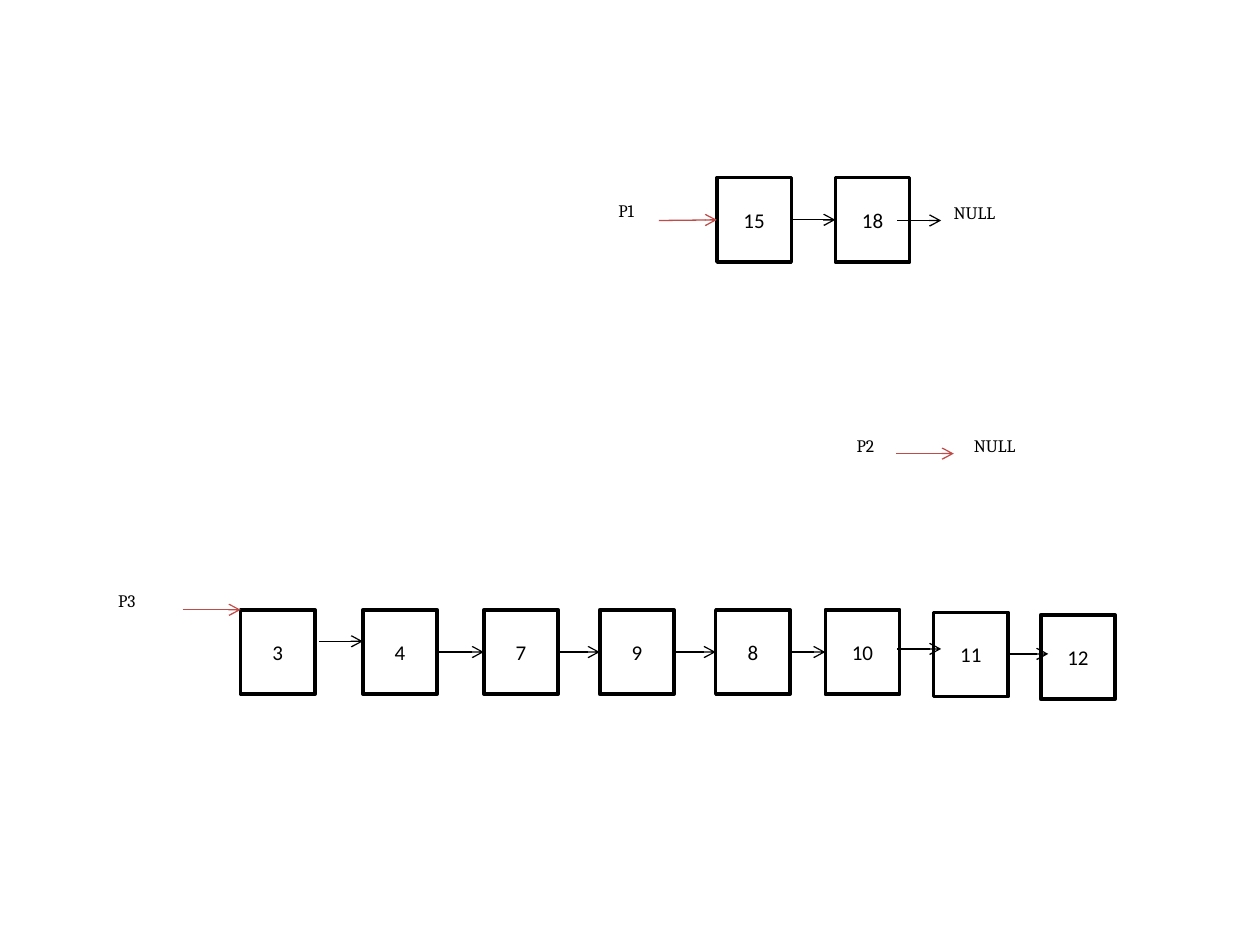
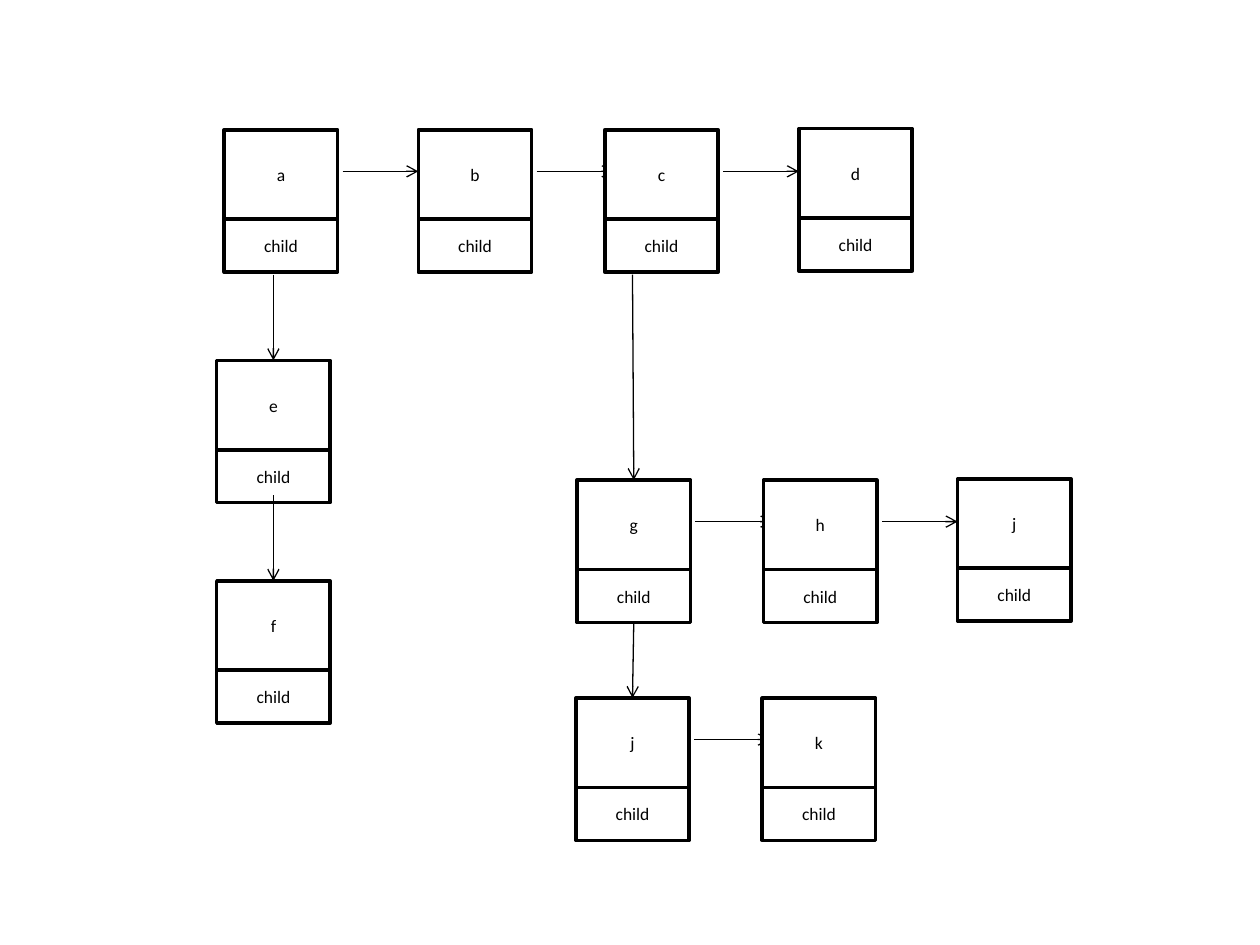
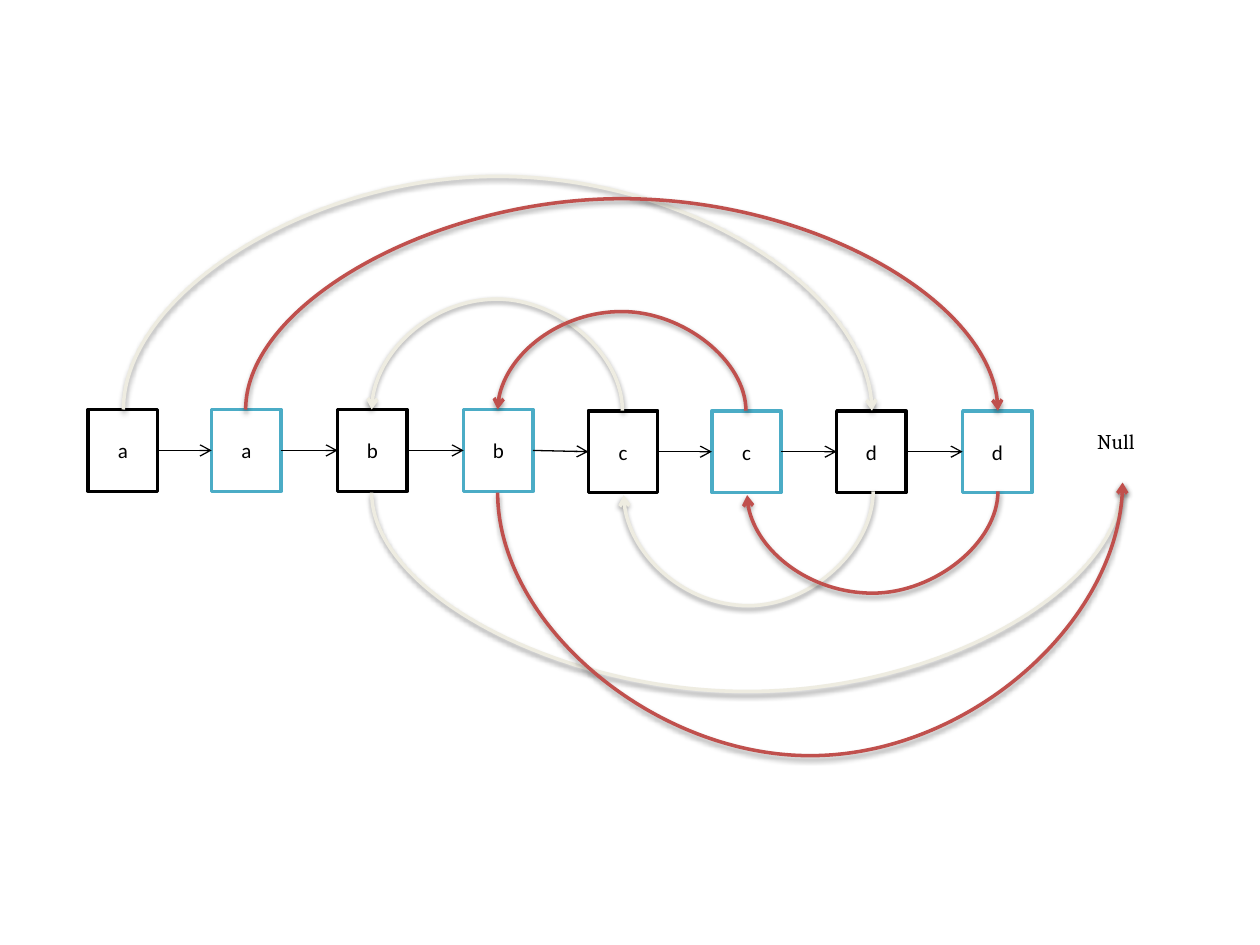
import pptx
import pptx.util
import pptx.dml.color
import pptx.enum.shapes
import pptx.enum.text
import pptx.oxml.ns
from lxml import etree

Inches = pptx.util.Inches
RGB = pptx.dml.color.RGBColor.from_string
KIND = pptx.enum.shapes.MSO_CONNECTOR
TONES = {"ink": "000000", "paper": "FFFFFF", "head": "BF4C48",
         "teal": "4BACC6", "cream": "EEECE1", "red": "C0504D"}


def box(slide, at, text, size, edge=None):
    spot = [Inches(n) for n in at]
    if edge:
        shape = slide.shapes.add_shape(pptx.enum.shapes.MSO_SHAPE.RECTANGLE, *spot)
        shape.shadow.inherit = False
        shape.fill.solid()
        shape.fill.fore_color.rgb = RGB(TONES["paper"])
        shape.line.color.rgb = RGB(TONES[edge])
        shape.line.width = pptx.util.Pt(2)
    else:
        shape = slide.shapes.add_textbox(*spot)
    frame = shape.text_frame
    frame.word_wrap = True
    para = frame.paragraphs[0]
    if edge:
        frame.vertical_anchor = pptx.enum.text.MSO_ANCHOR.MIDDLE
        para.alignment = pptx.enum.text.PP_ALIGN.CENTER
    run = para.add_run()
    run.text = text
    run.font.size = pptx.util.Pt(size)
    run.font.name = "Calibri" if edge else "Cambria"
    run.font.color.rgb = RGB(TONES["ink"])
    return shape


def arrow(slide, ends, tone="ink", width=0.75, kind=KIND.STRAIGHT):
    line = slide.shapes.add_connector(kind, *[Inches(n) for n in ends])
    line.line.color.rgb = RGB(TONES[tone])
    line.line.width = pptx.util.Pt(width)
    props = line._element.spPr
    tail = etree.SubElement(props.find(pptx.oxml.ns.qn("a:ln")), pptx.oxml.ns.qn("a:tailEnd"))
    tail.set("type", "arrow")
    etree.SubElement(props, pptx.oxml.ns.qn("a:effectLst"))
    return line


deck = pptx.Presentation()
deck.slide_width, deck.slide_height = Inches(10), Inches(7.5)
lists, tree, chain = [deck.slides.add_slide(deck.slide_layouts[6]) for _ in range(3)]

nodes = {}
for text, x, y in [("15", 5.69, 1.41), ("18", 6.63, 1.41), ("3", 1.91, 4.84),
                   ("4", 2.88, 4.84), ("7", 3.84, 4.84), ("9", 4.76, 4.84),
                   ("8", 5.68, 4.84), ("10", 6.55, 4.84), ("12", 8.26, 4.88)]:
    nodes[text] = box(lists, (x, y, 0.59, 0.67), text, 12, "ink")
for start, stop in [("15", "18"), ("4", "7"), ("7", "9"), ("9", "8"), ("8", "10")]:
    link = arrow(lists, (0, 0, 1, 0))
    link.begin_connect(nodes[start], 3)
    link.end_connect(nodes[stop], 1)
arrow(lists, (7.86, 5.19, 8.32, 5.19))
box(lists, (7.41, 4.86, 0.59, 0.67), "11", 12, "ink")
for x, y in [(7.12, 1.75), (7.12, 5.15), (2.53, 5.09)]:
    arrow(lists, (x, y, x + 0.35, y))
for x, y in [(7.11, 3.6), (1.45, 4.84)]:
    arrow(lists, (x, y, x + 0.46, y), "head")
arrow(lists, (5.23, 1.75, 5.69, 1.75), "head").end_connect(nodes["15"], 1)
for text, x, y, wide in [("P1", 4.81, 1.54, 0.47), ("P2", 6.7, 3.4, 0.47),
                         ("P3", 0.84, 4.63, 0.47), ("NULL", 7.47, 1.55, 0.71),
                         ("NULL", 7.63, 3.4, 0.71)]:
    box(lists, (x, y, wide, 0.45), text, 10)

tops, kids = [], []
for text, x, y, reach in [("a", 1.78, 1.03, 0.6), ("b", 3.32, 1.03, 0.61),
                          ("c", 4.8, 1.03, 0.6), ("d", 6.34, 1.02, 0),
                          ("e", 1.72, 2.86, 0), ("f", 1.72, 4.61, 0),
                          ("g", 4.58, 3.81, 0.61), ("h", 6.06, 3.81, 0.6),
                          ("j", 7.6, 3.8, 0), ("j", 4.57, 5.54, 0.6),
                          ("k", 6.05, 5.54, 0)]:
    tops.append(box(tree, (x, y, 0.9, 0.71), text, 10, "ink"))
    if reach:
        arrow(tree, (x + 0.94, y + 0.33, x + 0.94 + reach, y + 0.33))
    kids.append(box(tree, (x, y + 0.71, 0.9, 0.42), "child", 10, "ink"))
for x, y, child in [(2.17, 2.18, 4), (2.17, 3.93, 5), (5.02, 2.18, 6), (5.03, 4.94, 9)]:
    link = arrow(tree, (x, y, x, y + 0.6))
    if child == 9:
        link.begin_connect(kids[6], 2)
    link.end_connect(tops[child], 0)

last = None
for spot, x in enumerate([0.7, 1.68, 2.68, 3.68, 4.67, 5.65, 6.64, 7.64]):
    y = 3.25 if spot < 4 else 3.26
    node = box(chain, (x, y, 0.55, 0.65), "aabbccdd"[spot], 12, "teal" if spot % 2 else "ink")
    if last:
        link = arrow(chain, (0, 0, 1, 0))
        link.begin_connect(last, 3)
        link.end_connect(node, 1)
    last = node
box(chain, (8.61, 3.35, 0.7, 0.56), "Null", 12)

for x1, y1, x2, y2, peak, tone in [
        (0.98, 3.25, 6.92, 3.26, 1.37, "cream"), (2.95, 3.91, 8.91, 3.83, 5.49, "cream"),
        (4.94, 3.26, 2.95, 3.25, 2.36, "cream"), (6.93, 3.9, 4.95, 3.93, 4.81, "cream"),
        (1.95, 3.25, 7.92, 3.26, 1.55, "red"), (5.92, 3.26, 3.95, 3.25, 2.46, "red"),
        (7.92, 3.9, 5.93, 3.93, 4.71, "red"), (3.95, 3.91, 8.91, 3.83, 6, "red")]:
    above, right = peak < y1, x2 > x1
    midx, midy = (x1 + x2) / 2, (y1 + y2) / 2
    dx = abs(y2 - y1) / 2 * (-1 if right else 1)
    dy = abs(x2 - x1) / 2 * (-1 if above != right else 1)
    curve = arrow(chain, (midx - dx, midy - dy, midx + dx, midy + dy), tone, 2, KIND.CURVE)
    props = curve._element.spPr
    props.find(pptx.oxml.ns.qn("a:xfrm")).set("rot", str((270 if above else 90) * 60000))
    guide = etree.SubElement(props.find(".//" + pptx.oxml.ns.qn("a:avLst")), pptx.oxml.ns.qn("a:gd"))
    guide.set("name", "adj1")
    guide.set("fmla", f"val {round((peak - y1) / (y2 - y1) * 100000)}")
    shade = etree.SubElement(props.find(pptx.oxml.ns.qn("a:effectLst")), pptx.oxml.ns.qn("a:outerShdw"))
    for name, value in [("blurRad", pptx.util.Pt(3.1)), ("dist", pptx.util.Pt(1.6)),
                        ("dir", 90 * 60000), ("rotWithShape", 0)]:
        shade.set(name, str(int(value)))
    color = etree.SubElement(shade, pptx.oxml.ns.qn("a:srgbClr"), val=TONES["ink"])
    etree.SubElement(color, pptx.oxml.ns.qn("a:alpha"), val="38000")

deck.save("out.pptx")
